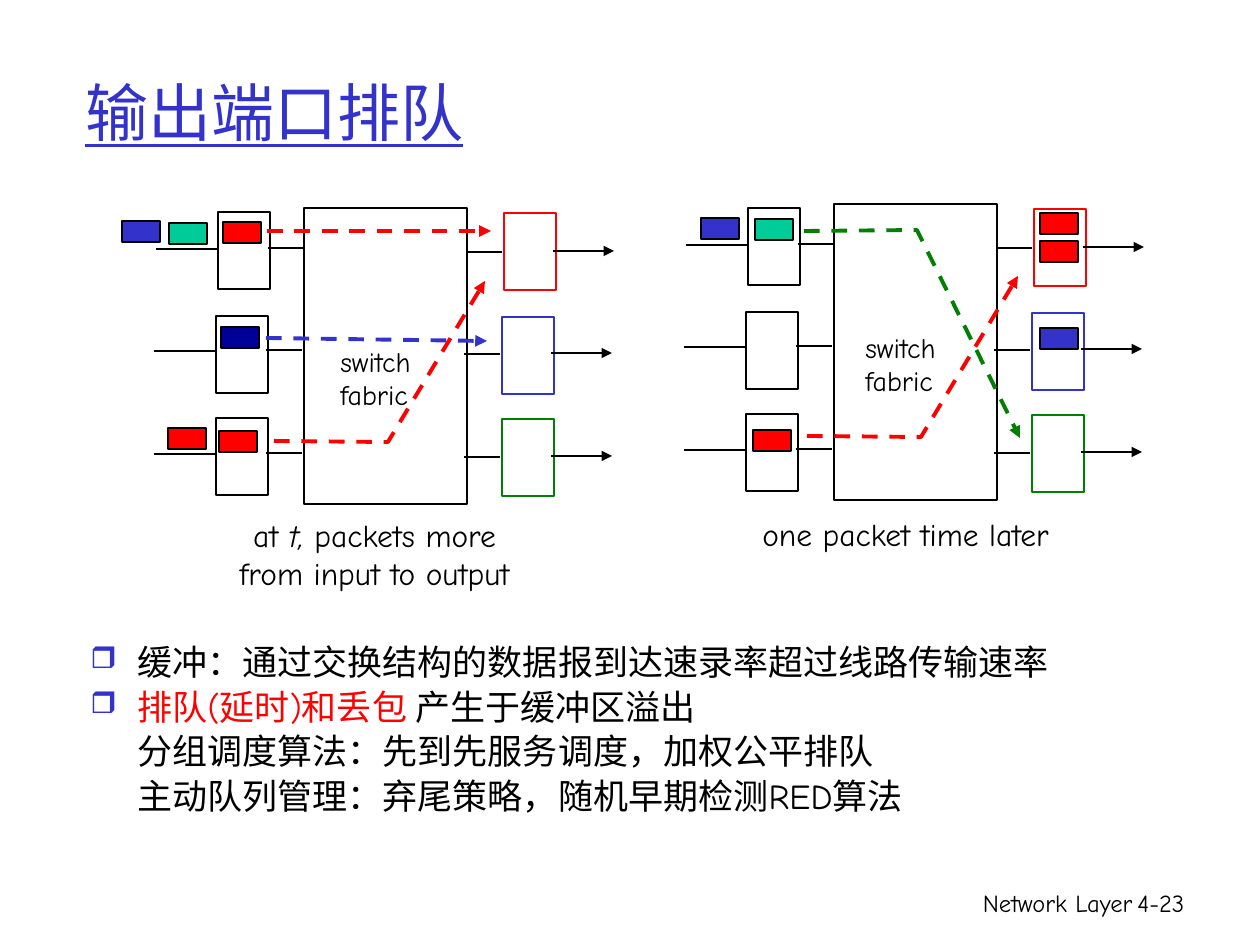
from dataclasses import dataclass
from lxml.etree import SubElement
from pptx import Presentation
from pptx.dml.color import RGBColor
from pptx.enum.dml import MSO_LINE
from pptx.enum.shapes import MSO_CONNECTOR, MSO_SHAPE
from pptx.enum.text import MSO_ANCHOR, PP_ALIGN
from pptx.oxml.ns import qn
from pptx.util import Emu, Pt

PX = 914400 / 126


@dataclass(frozen=True)
class Theme:
    """Font, colours and type sizes of the slide."""
    font: str = "Comic Neue"
    black: str = "000000"
    white: str = "FFFFFF"
    red: str = "FF0000"
    blue: str = "3333CC"
    navy: str = "000099"
    green: str = "008000"
    teal: str = "00CC99"
    title: int = 36
    body: int = 20
    caption: int = 18
    label: int = 16
    footer: int = 14


T = Theme()


def px(n):
    """Turn pixels into EMU."""
    return Emu(round(n * PX))


def rgb(color):
    """Turn a hex string into a colour."""
    return RGBColor.from_string(color)


def set_attrs(obj, fmt):
    """Set each attribute of a format dict."""
    for name, value in fmt.items():
        setattr(obj, name, value)


def add_text(s, box, paras, size, color=T.black, para_fmt=None, **frame_fmt):
    """Add a text box; a paragraph is a list of (text, font format) runs."""
    sp = s.shapes.add_textbox(*map(px, box))
    tf = sp.text_frame
    set_attrs(tf, {"word_wrap": True, **frame_fmt})
    for i, runs in enumerate(paras):
        p = tf.add_paragraph() if i else tf.paragraphs[0]
        set_attrs(p, para_fmt or {})
        for text, fmt in runs:
            r = p.add_run()
            r.text = text
            fmt = {"name": T.font, "size": Pt(size), **fmt}
            r.font.color.rgb = rgb(fmt.pop("color", color))
            set_attrs(r.font, fmt)
    return tf


def add_bullet(p):
    """Give a paragraph the blue box bullet."""
    pPr = p._p.get_or_add_pPr()
    clr = SubElement(pPr, qn("a:buClr"))
    SubElement(clr, qn("a:srgbClr"), val=T.blue)
    SubElement(pPr, qn("a:buSzPct"), val="85000")
    SubElement(pPr, qn("a:buChar"), char="❒")


def add_box(s, box, fill=T.white, line=T.black, width=0.75):
    """Add a filled rectangle."""
    sp = s.shapes.add_shape(MSO_SHAPE.RECTANGLE, *map(px, box))
    sp.shadow.inherit = False
    sp.fill.solid()
    sp.fill.fore_color.rgb = rgb(fill)
    sp.line.color.rgb = rgb(line)
    sp.line.width = Pt(width)


def add_line(s, points, color=T.black, width=1.5, dash=None, arrow=False):
    """Add a straight connector, or an open path through more points."""
    if len(points) == 2:
        ends = [px(n) for point in points for n in point]
        sp = s.shapes.add_connector(MSO_CONNECTOR.STRAIGHT, *ends)
        SubElement(sp._element.spPr, qn("a:effectLst"))
    else:
        fb = s.shapes.build_freeform(*points[0], scale=PX)
        fb.add_line_segments(points[1:], close=False)
        sp = fb.convert_to_shape()
        sp.shadow.inherit = False
        sp.fill.background()
    sp.line.color.rgb = rgb(color)
    set_attrs(sp.line, {"width": Pt(width), "dash_style": dash})
    if arrow:
        SubElement(sp.line._get_or_add_ln(), qn("a:tailEnd"), type="triangle")


def add_route(s, points, color):
    """Add a dashed arrow that a packet follows."""
    add_line(s, points, color, 2.25, MSO_LINE.DASH, True)


def add_switch(s, x, y):
    """Add the fabric with three input and three output ports."""
    add_box(s, (x, y, 163, 296))
    rows = [(0, 0, 0, T.red), (-2, 104, 102, T.blue), (-2, 206, 205, T.green)]
    links = [(-148, -86, 41), (-36, 0, 40), (162, 198, 44), (249, 310, 43)]
    for dx, dy, link_dy, color in rows:
        add_box(s, (x - 86 + dx, y + 4 + dy, 52, 77))
        add_box(s, (x + 200 + dx, y + 5 + dy, 52, 77), line=color, width=1.5)
        for i, (x1, x2, top) in enumerate(links):
            ly = y + top + link_dy
            add_line(s, [(x + x1 + dx, ly), (x + x2 + dx, ly)], arrow=i == 3)


def main():
    """Build the slide and save it."""
    prs = Presentation()
    prs.slide_width, prs.slide_height = px(1260), px(945)
    s = prs.slides.add_slide(prs.slide_layouts[6])

    add_text(s, (73, 32, 1071, 158), [[("输出端口排队", {"underline": True})]],
             T.title, T.blue, vertical_anchor=MSO_ANCHOR.MIDDLE)
    add_switch(s, 304, 208)
    add_switch(s, 834, 204)

    for x, y, color in [
            (223, 222, T.red), (221, 327, T.navy), (219, 431, T.red),
            (169, 223, T.teal), (168, 428, T.red), (122, 221, T.blue),
            (1040, 213, T.red), (1040, 328, T.blue), (1040, 241, T.red),
            (755, 219, T.teal), (753, 430, T.red), (701, 218, T.blue)]:
        add_box(s, (x, y, 38, 21), color)

    add_route(s, [(267, 231), (491, 231)], T.red)
    add_route(s, [(266, 338), (487, 341)], T.blue)
    add_route(s, [(274, 441), (388, 442), (485, 281)], T.red)
    add_route(s, [(807, 436), (921, 437), (1018, 276)], T.red)
    add_route(s, [(804, 231), (917, 230), (1020, 438)], T.green)

    center = {"alignment": PP_ALIGN.CENTER}
    add_text(s, (205, 510, 339, 88),
             [[("at ", {}), ("t,", {"italic": True}), (" packets more", {})],
              [("from input to output", {})]], T.caption, para_fmt=center)
    add_text(s, (736, 509, 339, 50), [[("one packet time later", {})]],
             T.caption, para_fmt=center)
    for x, y in [(328, 338), (853, 324)]:
        add_text(s, (x, y, 103, 81), [[("switch", {})], [("fabric", {})]],
                 T.label, word_wrap=False)

    tf = add_text(s, (78, 639, 1116, 192), [
        [("缓冲：通过交换结构的数据报到达速录率超过线路传输速率", {})],
        [("排队(延时)和丢包 ", {"color": T.red}), ("产生于缓冲区溢出", {})],
        [("分组调度算法：先到先服务调度，加权公平排队", {})],
        [("主动队列管理：弃尾策略，随机早期检测RED算法", {})]],
        T.body, para_fmt={"line_spacing": 0.9})
    for i, p in enumerate(tf.paragraphs):
        if i:
            p.space_before = Pt(4)
        pPr = p._p.get_or_add_pPr()
        pPr.set("marL", str(px(47)))
        if i < 2:
            pPr.set("indent", str(-px(47)))
            add_bullet(p)

    for box, text in [((746, 882, 399, 63), "Network Layer"),
                      ((1125, 882, 93, 63), "4-23")]:
        align = PP_ALIGN.RIGHT if text == "Network Layer" else PP_ALIGN.LEFT
        add_text(s, box, [[(text, {})]], T.footer,
                 para_fmt={"alignment": align})
    prs.save("out.pptx")


if __name__ == "__main__":
    main()
